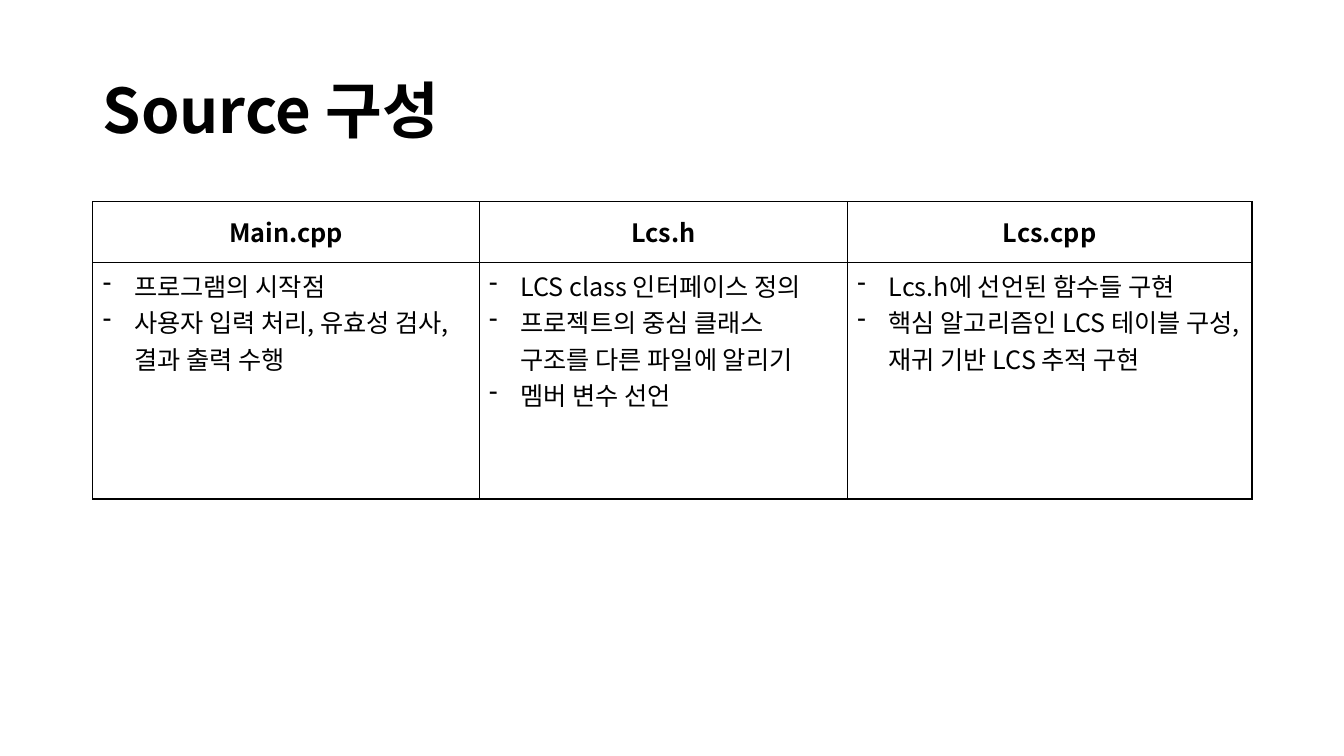
from dataclasses import dataclass
from typing import Any

from lxml.etree import SubElement
from pptx import Presentation
from pptx.dml.color import RGBColor
from pptx.enum.text import MSO_ANCHOR, PP_ALIGN
from pptx.oxml.ns import qn
from pptx.slide import Slide
from pptx.table import Table, _Cell
from pptx.text.text import TextFrame, _Paragraph
from pptx.util import Emu, Inches, Pt

SLIDE_WIDTH = Inches(13.33)
SLIDE_HEIGHT = Inches(7.5)


@dataclass(frozen=True)
class Theme:
    font: str = "Noto Sans CJK KR"
    ink: str = "000000"
    title_size: int = 44
    body_size: int = 18
    border: int = 1


@dataclass(frozen=True)
class SourceFile:
    name: str
    width: float
    roles: tuple[str, ...]


THEME = Theme()
LEFT, CONTENT_WIDTH = 6.9, 86.25
TITLE_TOP, TITLE_HEIGHT = 5.33, 19.33
TABLE_TOP = 26.67
ROW_HEIGHTS = (8, 31.33)
HANGING_INDENT = Inches(0.31)

SOURCE_FILES = (
    SourceFile("Main.cpp", 28.75, (
        "프로그램의 시작점",
        "사용자 입력 처리, 유효성 검사, 결과 출력 수행",
    )),
    SourceFile("Lcs.h", 27.4, (
        "LCS class 인터페이스 정의",
        "프로젝트의 중심 클래스 구조를 다른 파일에 알리기",
        "멤버 변수 선언",
    )),
    SourceFile("Lcs.cpp", 30.1, (
        "Lcs.h에 선언된 함수들 구현",
        "핵심 알고리즘인 LCS 테이블 구성, 재귀 기반 LCS 추적 구현",
    )),
)


def across(percent: float) -> Emu:
    return Emu(round(SLIDE_WIDTH * percent / 100))


def down(percent: float) -> Emu:
    return Emu(round(SLIDE_HEIGHT * percent / 100))


def apply_format(target: Any, values: dict[str, Any]) -> None:
    for attribute, value in values.items():
        setattr(target, attribute, value)


def write(paragraph: _Paragraph, wording: str, size: int, bold: bool) -> None:
    run = paragraph.add_run()
    run.text = wording
    apply_format(run.font, {"name": THEME.font, "size": Pt(size), "bold": bold})
    run.font.color.rgb = RGBColor.from_string(THEME.ink)
    SubElement(run.font._element, qn("a:ea"), typeface=THEME.font)


def write_roles(frame: TextFrame, roles: tuple[str, ...]) -> None:
    for index, role in enumerate(roles):
        paragraph = frame.add_paragraph() if index else frame.paragraphs[0]
        properties = paragraph._p.get_or_add_pPr()
        properties.set("marL", str(HANGING_INDENT))
        properties.set("indent", str(-HANGING_INDENT))
        SubElement(properties, qn("a:buChar"), char="-")
        write(paragraph, role, THEME.body_size, False)


def outline(cell: _Cell) -> None:
    properties = cell._tc.get_or_add_tcPr()
    for side in ("lnL", "lnR", "lnT", "lnB"):
        line = SubElement(properties, qn(f"a:{side}"), w=str(Pt(THEME.border)))
        fill = SubElement(line, qn("a:solidFill"))
        SubElement(fill, qn("a:srgbClr"), val=THEME.ink)
    cell.fill.background()


def draw_title(slide: Slide, wording: str) -> None:
    title = slide.shapes.add_textbox(
        across(LEFT), down(TITLE_TOP), across(CONTENT_WIDTH), down(TITLE_HEIGHT)
    )
    frame = title.text_frame
    apply_format(frame, {"word_wrap": True, "vertical_anchor": MSO_ANCHOR.MIDDLE})
    heading = frame.paragraphs[0]
    heading.line_spacing = 0.9
    write(heading, wording, THEME.title_size, True)


def draw_file_column(table: Table, index: int, source: SourceFile) -> None:
    table.columns[index].width = across(source.width)
    header, details = table.cell(0, index), table.cell(1, index)
    header.vertical_anchor = MSO_ANCHOR.MIDDLE
    heading = header.text_frame.paragraphs[0]
    heading.alignment = PP_ALIGN.CENTER
    write(heading, source.name, THEME.body_size, True)
    write_roles(details.text_frame, source.roles)
    for cell in (header, details):
        outline(cell)


def draw_file_table(slide: Slide, sources: tuple[SourceFile, ...]) -> None:
    table = slide.shapes.add_table(
        len(ROW_HEIGHTS), len(sources),
        across(LEFT), down(TABLE_TOP),
        across(CONTENT_WIDTH), down(sum(ROW_HEIGHTS)),
    ).table
    apply_format(table, {"first_row": False, "horz_banding": False})
    for row, height in zip(table.rows, ROW_HEIGHTS):
        row.height = down(height)
    for index, source in enumerate(sources):
        draw_file_column(table, index, source)


def main() -> None:
    deck = Presentation()
    apply_format(deck, {"slide_width": SLIDE_WIDTH, "slide_height": SLIDE_HEIGHT})
    slide = deck.slides.add_slide(deck.slide_layouts[6])
    draw_title(slide, "Source 구성")
    draw_file_table(slide, SOURCE_FILES)
    deck.save("out.pptx")


if __name__ == "__main__":
    main()
